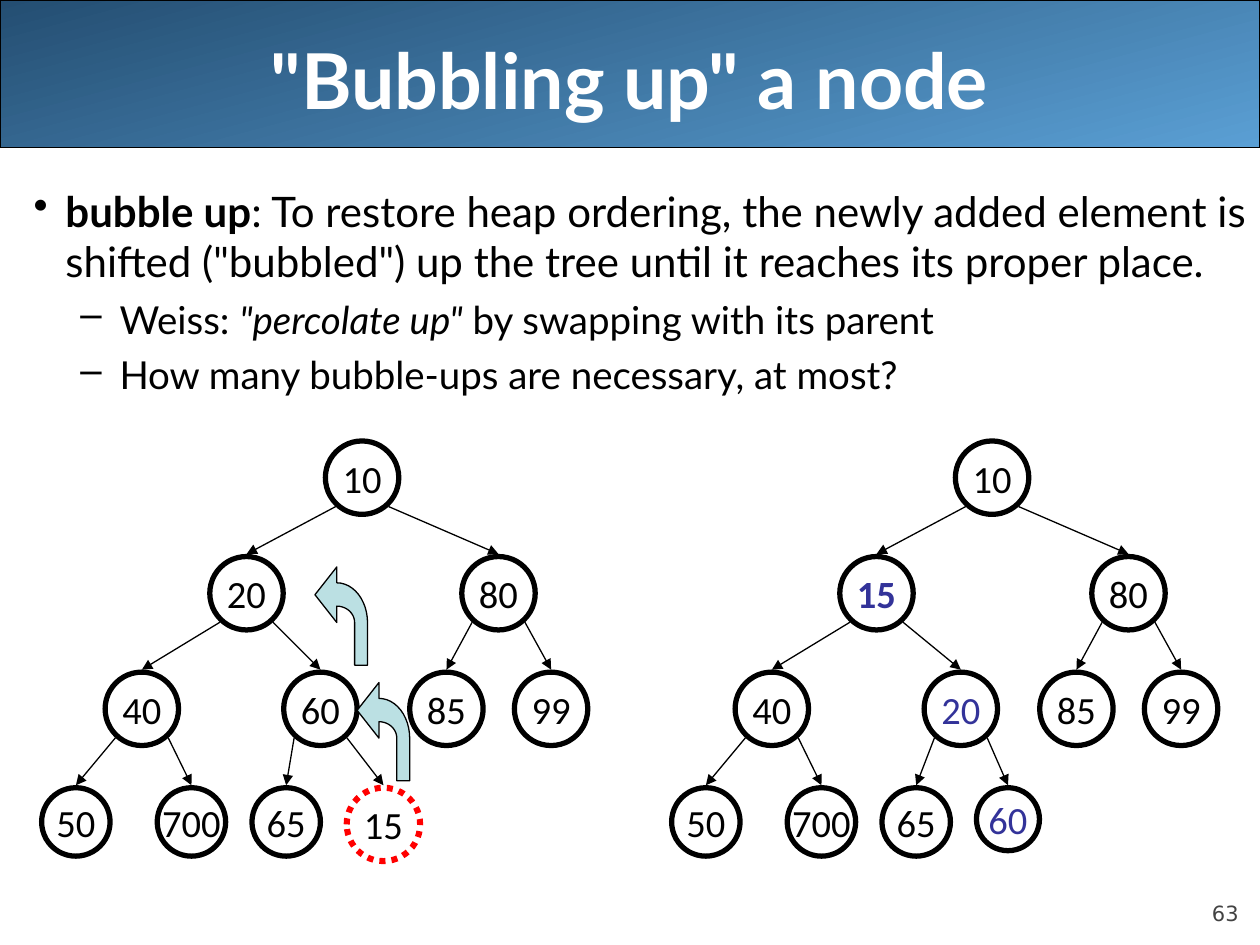
import math

from lxml import etree
from pptx import Presentation
from pptx import util as u
from pptx.dml.color import RGBColor
from pptx.enum import dml, shapes, text
from pptx.oxml import ns

BLACK = RGBColor(0x00, 0x00, 0x00)
WHITE = RGBColor(0xFF, 0xFF, 0xFF)
RED = RGBColor(0xFF, 0x00, 0x00)
INDIGO = RGBColor(0x33, 0x33, 0x99)
GREY = RGBColor(0x42, 0x42, 0x42)
PALE_TEAL = RGBColor(0xBB, 0xE0, 0xE3)
BANNER_DARK = RGBColor(0x24, 0x4E, 0x72)
BANNER_LIGHT = RGBColor(0x5A, 0x9F, 0xD4)

# Tree geometry in centimetres
TREE_TOP = 8.89
LEVEL_STEP = 2.33
NODE_SIZE = 1.48
LEAF_SIZE = 1.38
TREE_SHIFT = 12.7

# Heap order: the parent of node i is node i // 2, counting from 1.
# Each node is its label, centre x and any special styling.
BEFORE = [
    ("10", 7.3, {}),
    ("20", 4.97, {}), ("80", 10.05, {}),
    ("40", 2.86, {}), ("60", 6.46, {}), ("85", 9, {}), ("99", 11.11, {}),
    ("50", 1.53, {}), ("700", 3.86, {}), ("65", 5.77, {}),
    ("15", 7.73, {"size": NODE_SIZE, "outline": RED, "dotted": True}),
]
AFTER = [
    ("10", 7.3, {}),
    ("15", 4.97, {"color": INDIGO, "bold": True}), ("80", 10.05, {}),
    ("40", 2.86, {}), ("20", 6.67, {"color": INDIGO}), ("85", 9, {}), ("99", 11.11, {}),
    ("50", 1.53, {}), ("700", 3.86, {}), ("65", 5.77, {}),
    ("60", 7.62, {"size": 1.27, "color": INDIGO}),
]


class HeapPage:
    """Holds the text style and the page being drawn; lengths are centimetres."""

    heading_font = "Lato"
    node_font = "Calibri"
    number_font = "DejaVu Sans"

    def __init__(self, page):
        self.page = page

    def span(self, para, words, size, font, color=BLACK, bold=False, italic=False):
        run = para.add_run()
        run.text = words
        run.font.size = u.Pt(size)
        run.font.name = font
        run.font.color.rgb = color
        run.font.bold = bold
        run.font.italic = italic

    def text_box(self, left, top, width, height, anchor):
        box = self.page.shapes.add_textbox(u.Cm(left), u.Cm(top), u.Cm(width), u.Cm(height))
        box.text_frame.word_wrap = True
        box.text_frame.vertical_anchor = anchor
        return box.text_frame

    def banner(self, width, height):
        bar = self.page.shapes.add_shape(
            shapes.MSO_SHAPE.RECTANGLE, 0, 0, u.Cm(width), u.Cm(height))
        bar.shadow.inherit = False
        bar.fill.gradient()
        bar.fill.gradient_angle = 285
        for stop, color in zip(bar.fill.gradient_stops, (BANNER_DARK, BANNER_LIGHT)):
            stop.color.rgb = color
        bar.line.color.rgb = BLACK
        bar.line.width = u.Pt(0.75)

    def title(self, words):
        frame = self.text_box(1.27, 0, 22.86, 3.18, text.MSO_ANCHOR.MIDDLE)
        para = frame.paragraphs[0]
        para.alignment = text.PP_ALIGN.CENTER
        self.span(para, words, 44, self.heading_font, WHITE, bold=True)

    def page_number(self, number):
        frame = self.text_box(22.86, 17.65, 2.11, 1.02, text.MSO_ANCHOR.BOTTOM)
        frame.margin_left = frame.margin_right = frame.margin_top = frame.margin_bottom = 0
        para = frame.paragraphs[0]
        para.alignment = text.PP_ALIGN.RIGHT
        self.span(para, number, 12, self.number_font, GREY)

    def bullet(self, para, mark, margin, hang):
        props = para._p.get_or_add_pPr()
        props.set("marL", str(u.Cm(margin)))
        props.set("indent", str(-u.Cm(hang)))
        color = etree.SubElement(props, ns.qn("a:buClr"))
        etree.SubElement(color, ns.qn("a:srgbClr")).set("val", str(BLACK))
        etree.SubElement(props, ns.qn("a:buChar")).set("char", mark)

    def bullets(self, items):
        """Items are (level, spans); each span is its words and a style dict."""
        frame = self.text_box(0.43, 3.61, 24.97, 14.4, text.MSO_ANCHOR.TOP)
        for index, (level, spans) in enumerate(items):
            para = frame.add_paragraph() if index else frame.paragraphs[0]
            mark, margin, hang, size = (("•", 0.64, 0.64, 24), ("–", 1.73, 0.79, 22))[level]
            self.bullet(para, mark, margin, hang)
            para.level = level
            para.space_before = u.Pt(5.5 if index else 0)
            for words, style in spans:
                self.span(para, words, size, self.heading_font, **style)

    def node(self, label, center, top, size, outline=BLACK, dotted=False,
             color=BLACK, bold=False):
        circle = self.page.shapes.add_shape(
            shapes.MSO_SHAPE.OVAL, u.Cm(center - size / 2), u.Cm(top), u.Cm(size), u.Cm(size))
        circle.shadow.inherit = False
        circle.fill.background()
        circle.line.color.rgb = outline
        circle.line.width = u.Pt(3.5 if dotted else 3)
        if dotted:
            circle.line.dash_style = dml.MSO_LINE.ROUND_DOT
        frame = circle.text_frame
        frame.word_wrap = False
        frame.vertical_anchor = text.MSO_ANCHOR.MIDDLE
        para = frame.paragraphs[0]
        para.alignment = text.PP_ALIGN.CENTER
        self.span(para, label, 22, self.node_font, color, bold)

    def edge(self, start_x, start_y, end_x, end_y):
        arrow = self.page.shapes.add_connector(
            shapes.MSO_CONNECTOR.STRAIGHT,
            u.Cm(start_x), u.Cm(start_y), u.Cm(end_x), u.Cm(end_y))
        arrow.line.color.rgb = BLACK
        arrow.line.width = u.Pt(0.75)
        etree.SubElement(arrow.line._get_or_add_ln(), ns.qn("a:tailEnd")).set("type", "triangle")
        etree.SubElement(arrow._element.spPr, ns.qn("a:effectLst"))

    def tree(self, nodes, shift=0):
        for index, (label, x, style) in enumerate(nodes, start=1):
            level = index.bit_length() - 1
            center, top = x + shift, TREE_TOP + level * LEVEL_STEP
            size = LEAF_SIZE if level == 3 else NODE_SIZE
            self.node(label, center, top, **{"size": size, **style})
            if index > 1:
                parent = nodes[index // 2 - 1][1] + shift
                side = 0.53 if index % 2 else -0.53
                self.edge(parent + side, top - LEVEL_STEP + 1.32, center, top - 0.05)

    def swap_arrow(self, left, top):
        """Draw an arrow that rises and bends to the left."""
        def bend(radius_x, radius_y):
            angles = [math.radians(step * 7.5) for step in range(13)]
            return [(0.44 + radius_x * math.sin(a), 1.12 - radius_y * math.cos(a))
                    for a in angles]

        outline = [(0, 0.56), (0.44, 0), *bend(0.62, 0.8), (1.06, 1.98), (0.8, 1.98),
                   *reversed(bend(0.36, 0.33)), (0.44, 1.12)]
        points = [(u.Cm(left + x), u.Cm(top + y)) for x, y in outline]
        builder = self.page.shapes.build_freeform(*points[0])
        builder.add_line_segments(points[1:], close=True)
        arrow = builder.convert_to_shape()
        arrow.shadow.inherit = False
        arrow.fill.solid()
        arrow.fill.fore_color.rgb = PALE_TEAL
        arrow.line.color.rgb = BLACK
        arrow.line.width = u.Pt(0.75)


def main():
    deck = Presentation()
    deck.slide_width, deck.slide_height = u.Cm(25.4), u.Cm(19.05)
    heap = HeapPage(deck.slides.add_slide(deck.slide_layouts[6]))
    heap.banner(25.4, 2.97)
    heap.page_number("63")
    heap.title('"Bubbling up" a node')
    heap.bullets([
        (0, [("bubble up", {"bold": True}),
             (": To restore heap ordering, the newly added element is shifted "
              '("bubbled") up the tree until it reaches its proper place.', {})]),
        (1, [("Weiss: ", {}), ('"percolate up"', {"italic": True}),
             (" by swapping with its parent", {})]),
        (1, [("How many bubble-ups are necessary, at most?", {})]),
    ])
    heap.tree(BEFORE)
    heap.swap_arrow(7.2, 13.76)
    heap.swap_arrow(6.35, 11.43)
    heap.tree(AFTER, TREE_SHIFT)
    deck.save("out.pptx")


if __name__ == "__main__":
    main()
